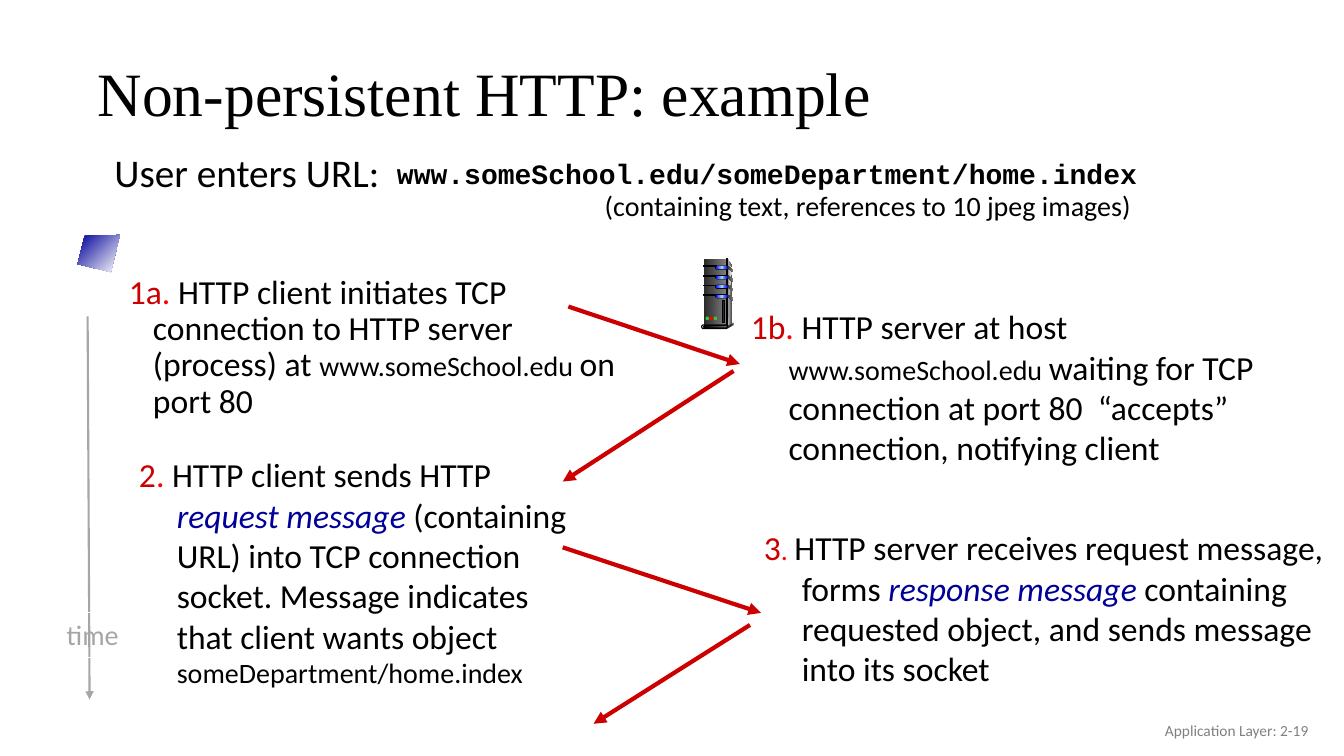
from copy import deepcopy

from pptx import Presentation
from pptx.dml.color import RGBColor
from pptx.enum.shapes import MSO_CONNECTOR, MSO_SHAPE as SHAPE
from pptx.enum.text import MSO_ANCHOR as ANCHOR, MSO_AUTO_SIZE, PP_ALIGN as ALIGN
from pptx.oxml.ns import qn
from pptx.oxml.xmlchemy import OxmlElement
from pptx.util import Pt

COLORS = {
    "black": "000000", "white": "FFFFFF", "red": "CC0000", "dot": "FF0000",
    "navy": "000099", "time": "A6A6A6", "footer": "808080", "dark": "292929",
    "coal": "333333", "grey": "808080", "silver": "DDDDDD", "pale": "F8F8F8",
    "blue": "0000FF", "sky": "99CCFF", "green": "33CC33",
}

TITLE = "Non-persistent HTTP: example"
BODY, URL, MONO = "Calibri", 20, "Courier New"

# Spans: text, size, colour, then optional style
STEP_1A = [("1a", 24, "red"), (".", 24, "dot"),
           (" HTTP client initiates TCP connection to HTTP server (process) at ", 24, "black"),
           ("www.someSchool.edu ", URL, "black"), ("on port 80", 24, "black")]
STEP_1B = [("1b", 24, "red"), (".", 24, "dot"), (" HTTP server at host ", 24, "black"),
           ("www.someSchool.edu ", URL, "black"),
           ("waiting for TCP connection at port 80  “accepts” connection, notifying client",
            24, "black")]
STEP_2 = [("2", 24, "red"), (".", 24, "dot"), (" HTTP client sends HTTP ", 24, "black"),
          ("request message", 24, "navy", "italic"),
          (" (containing URL) into TCP connection socket. Message indicates that client"
           " wants object ", 24, "black"),
          ("someDepartment/home.index", URL, "black")]
STEP_3 = [("3", 24, "red"), (". ", 20, "dot"),
          ("HTTP server receives request message, forms ", 24, "black"),
          ("response message", 24, "navy", "italic"),
          (" containing requested object, and sends message into its socket", 24, "black")]

# Text boxes: left, top, width, height, spans, options
TEXTS = [
    (64, 106.5, 626, 37, [("User enters URL:", 28, "black")],
     {"margin": 28, "hang": 17.3, "spacing": 0.9}),
    (74.2, 193, 381.6, 150, STEP_1A, {"margin": 28, "hang": 17.3, "spacing": 0.9}),
    (92.2, 321, 332, 85, STEP_2, {"margin": 27, "hang": 27}),
    (529.2, 215.3, 424, 119, STEP_1B, {"margin": 27, "hang": 27}),
    (538.6, 373, 425, 142, STEP_3, {"margin": 27, "hang": 27}),
    (368.6, 131, 502.6, 31.7,
     [("(containing text, references to 10 jpeg images)", 20, "black")],
     {"align": ALIGN.CENTER}),
    (276.5, 111.6, 626, 37,
     [("www.someSchool.edu/someDepartment/home.index", 20, "black", "bold")],
     {"margin": 27, "hang": 27, "spacing": 0.85, "font": MONO}),
    (725.8, 507.6, 216, 28.8, [("Application Layer: 2-19", 11, "footer")],
     {"align": ALIGN.RIGHT, "anchor": ANCHOR.MIDDLE}),
]

TIME_AXIS = (62.6, 226, 64, 499.7)
MESSAGES = [(406, 219, 528.5, 260), (524, 265, 402, 344),
            (402, 391, 543.6, 437.8), (535.7, 446.4, 424, 517)]

CLIENT = [(85.7, 167.8), (60.5, 168.5), (55.4, 188.6), (79.2, 194.4)]
SERVER_SIDE = [(519.8, 185), (523.4, 190.8), (523.4, 231), (519.1, 233.3)]
SERVER_PANEL = [(519.8, 188), (522.7, 191.5), (521, 208), (519.8, 231.8)]
SERVER_FOOT = [(519.8, 232.6), (519.8, 234.7), (523.4, 232.6), (523.4, 231)]
SIDE_VENT = [(519.8, 0), (523.6, 2.4), (523.4, 4.3), (519.6, 1.5)]
VENT_COUNT, VENT_TOP, VENT_PITCH = 4, 190, 6.8
LIGHTS = [(504, "green"), (506.9, "dot"), (509.8, "green")]


def rgb(name):
    return RGBColor.from_string(COLORS[name])


def paint(shape, fill=None, line=None, angle=0):
    """Fill with one colour name, or with a gradient when given a tuple of names."""
    shape.shadow.inherit = False
    if fill is None:
        shape.fill.background()
    elif isinstance(fill, str):
        shape.fill.solid()
        shape.fill.fore_color.rgb = rgb(fill)
    else:
        shape.fill.gradient()
        shape.fill.gradient_angle = 360 - angle
        stop_list = shape._element.spPr.find(qn("a:gradFill")).find(qn("a:gsLst"))
        while len(stop_list) < len(fill):
            stop_list.append(deepcopy(stop_list[0]))
        for index, (stop, name) in enumerate(zip(shape.fill.gradient_stops, fill)):
            stop.color.rgb = rgb(name)
            stop.position = index / (len(fill) - 1)
    if line:
        shape.line.color.rgb = rgb(line)
        shape.line.width = Pt(0.75)
    else:
        shape.line.fill.background()


def add_preset(shapes, kind, left, top, width, height, fill=None, line=None):
    shape = shapes.add_shape(kind, Pt(left), Pt(top), Pt(width), Pt(height))
    if kind == SHAPE.ROUNDED_RECTANGLE:
        shape.adjustments[0] = 0.5
    paint(shape, fill, line)
    return shape


def add_outline(shapes, points, fill, angle=0):
    corners = [(Pt(x), Pt(y)) for x, y in points]
    builder = shapes.build_freeform(*corners[0])
    builder.add_line_segments(corners[1:], close=True)
    paint(builder.convert_to_shape(), fill, angle=angle)


def write(para, spans, font=BODY):
    for text, size, color, *styles in spans:
        span = para.add_run()
        span.text = text
        span.font.name, span.font.size = font, Pt(size)
        span.font.color.rgb = rgb(color)
        span.font.bold = "bold" in styles
        span.font.italic = "italic" in styles


def add_text(page, left, top, width, height, spans, options):
    box = page.shapes.add_textbox(Pt(left), Pt(top), Pt(width), Pt(height))
    frame = box.text_frame
    frame.word_wrap = True
    frame.vertical_anchor = options.get("anchor", ANCHOR.TOP)
    para = frame.paragraphs[0]
    para.alignment = options.get("align", ALIGN.LEFT)
    para.line_spacing = options.get("spacing", 1.0)
    if "hang" in options:
        properties = para._p.get_or_add_pPr()
        properties.set("marL", str(Pt(options["margin"])))
        properties.set("indent", str(-Pt(options["hang"])))
    write(para, spans, options.get("font", BODY))


def add_arrow(page, ends, color, width):
    arrow = page.shapes.add_connector(MSO_CONNECTOR.STRAIGHT, *map(Pt, ends))
    arrow.line.color.rgb = rgb(color)
    arrow.line.width = Pt(width)
    head = OxmlElement("a:tailEnd")
    head.set("type", "triangle")
    arrow.line._get_or_add_ln().append(head)
    arrow._element.spPr.append(OxmlElement("a:effectLst"))


def add_server(page):
    parts = page.shapes.add_group_shape().shapes
    box, pill, oval = SHAPE.RECTANGLE, SHAPE.ROUNDED_RECTANGLE, SHAPE.OVAL
    add_outline(parts, SERVER_SIDE, ("silver", "coal"))
    add_preset(parts, box, 502.6, 185, 16.6, 48.2, ("dark", "grey"))
    add_outline(parts, SERVER_PANEL, ("grey", "pale"))
    add_preset(parts, box, 519.1, 185, 0.7, 48.2, ("coal", "silver", "coal"), "black")
    for index in range(VENT_COUNT):
        top = VENT_TOP + index * VENT_PITCH
        add_preset(parts, box, 502.6, top, 9.4, 0.5, "black", "black")
        add_preset(parts, pill, 510.8, top - 0.2, 9.4, 2.9, "black")
        add_preset(parts, pill, 511.2, top + 0.2, 8.6, 2.1, ("blue", "sky", "blue"))
        add_outline(parts, [(x, top + y) for x, y in SIDE_VENT], ("dark", "grey"))
    add_preset(parts, oval, 523.2, 230.4, 0.9, 2.2, "coal")
    add_outline(parts, SERVER_FOOT, "coal")
    add_preset(parts, pill, 501.2, 232, 18.7, 2.8, "silver", "black")
    add_preset(parts, pill, 502.6, 232.6, 17, 1.6, ("black", "grey"), "black")
    for left, color in LIGHTS:
        add_preset(parts, oval, left, 226.1, 2.5, 2.7, color)
    add_preset(parts, box, 516.2, 214.6, 1.4, 15.8, "dark", "black")


def main():
    deck = Presentation()
    deck.slide_width, deck.slide_height = Pt(960), Pt(540)
    page = deck.slides.add_slide(deck.slide_layouts[5])

    title = page.shapes.title
    title.left, title.top, title.width, title.height = map(Pt, (62.6, 34, 828, 70.5))
    frame = title.text_frame
    frame.auto_size = MSO_AUTO_SIZE.NONE
    frame.vertical_anchor = ANCHOR.MIDDLE
    para = frame.paragraphs[0]
    para.alignment, para.line_spacing = ALIGN.LEFT, 0.9
    write(para, [(TITLE, 44, "black")], "Times New Roman")

    add_arrow(page, TIME_AXIS, "time", 1.5)
    label = add_preset(page.shapes, SHAPE.RECTANGLE, 39.6, 437.8, 53.3, 31.7, line="white")
    label.text_frame.word_wrap = False
    label.text_frame.vertical_anchor = ANCHOR.TOP
    label.text_frame.paragraphs[0].alignment = ALIGN.CENTER
    write(label.text_frame.paragraphs[0], [("time", 20, "time")])

    for text in TEXTS:
        add_text(page, *text)
    for ends in MESSAGES:
        add_arrow(page, ends, "red", 3)
    add_outline(page.shapes, CLIENT, ("navy", "white"), angle=45)
    add_server(page)
    deck.save("out.pptx")


if __name__ == "__main__":
    main()
